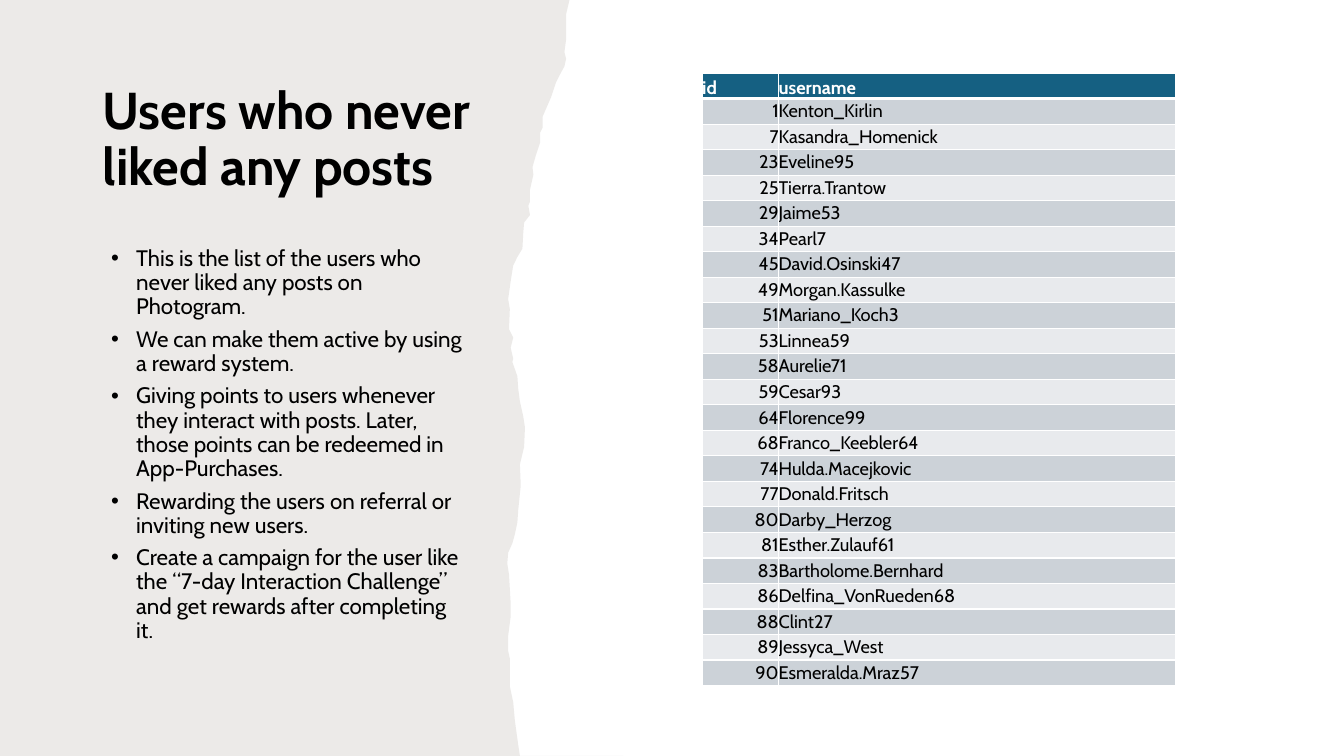
from dataclasses import dataclass

from lxml.etree import SubElement
from pptx import Presentation
from pptx.dml.color import RGBColor
from pptx.enum.text import MSO_ANCHOR, MSO_AUTO_SIZE, PP_ALIGN
from pptx.oxml.ns import qn
from pptx.util import Inches, Pt

COLUMNS, ROWS = 160, 90
UNIT = Inches(1) // 12


@dataclass(frozen=True)
class Theme:
    font: str = "Cabin"
    text: str = "000000"
    white: str = "FFFFFF"
    paper: str = "82766A"
    paper_opacity: int = 15
    header: str = "156082"
    bands: tuple = ("CCD2D8", "E8EAED")
    title_size: int = 37
    body_size: int = 16
    table_size: int = 13
    line_spacing: float = 0.9
    thin_rule: int = 1
    thick_rule: int = 3


TITLE = "Users who never liked any posts"
IDEAS = [
    "This is the list of the users who never liked any posts on Photogram.",
    "We can make them active by using a reward system.",
    "Giving points to users whenever they interact with posts. Later, "
    "those points can be redeemed in App-Purchases.",
    "Rewarding the users on referral or inviting new users.",
    "Create a campaign for the user like the “7-day Interaction Challenge” "
    "and get rewards after completing it.",
]
HEADINGS = ("id", "username")
USERS = [
    (1, "Kenton_Kirlin"), (7, "Kasandra_Homenick"), (23, "Eveline95"),
    (25, "Tierra.Trantow"), (29, "Jaime53"), (34, "Pearl7"),
    (45, "David.Osinski47"), (49, "Morgan.Kassulke"), (51, "Mariano_Koch3"),
    (53, "Linnea59"), (58, "Aurelie71"), (59, "Cesar93"),
    (64, "Florence99"), (68, "Franco_Keebler64"), (74, "Hulda.Macejkovic"),
    (77, "Donald.Fritsch"), (80, "Darby_Herzog"), (81, "Esther.Zulauf61"),
    (83, "Bartholome.Bernhard"), (86, "Delfina_VonRueden68"),
    (88, "Clint27"), (89, "Jessyca_West"), (90, "Esmeralda.Mraz57"),
]
TORN_EDGE = [
    (67.8, 0), (67.4, 1.7), (67.4, 4.7), (67.2, 6.2), (67.4, 7), (67.2, 7.9),
    (66.6, 9), (66.2, 9.8), (65.6, 11.6), (64.6, 13.9), (64.6, 15.2),
    (64.3, 15.8), (64.3, 17), (63.8, 18.5), (63.4, 19.9), (63.5, 20.8),
    (63.1, 22.6), (63.1, 24), (62.9, 24.5), (63.1, 25.6), (62.4, 26.5),
    (62.3, 27.7), (62.2, 29.6), (61.6, 30.6), (61.1, 31.6), (60.8, 33.5),
    (60.5, 35.6), (60.7, 36.8), (60.6, 39.2), (61.1, 40.2), (60.8, 41.4),
    (61.1, 42.7), (61, 43.1), (61.6, 44.8), (61.7, 46.3), (61.9, 47.8),
    (62.3, 49.6), (62.5, 50.9), (62.4, 53.2), (61.9, 55.3), (62, 57.8),
    (61.7, 60.7), (61.6, 62.2), (61.3, 63.6), (61, 64.7), (60.5, 65.8),
    (60.4, 67.1), (60.6, 68.4), (60.8, 71.8), (60.8, 73.4), (60.5, 75.7),
    (60.5, 77.5), (60.7, 78.4), (60.7, 81.7), (61.1, 83.6), (61.3, 85.8),
    (61.7, 88.7), (61.9, 90), (74.2, 90),
]


def grid(*lengths):
    """Turn lengths in grid units into slide lengths."""
    return [round(length * UNIT) for length in lengths]


class SlideBuilder:
    def __init__(self, slide, theme):
        self.slide = slide
        self.theme = theme

    def add_span(self, para, text, size, color, bold=False):
        span = para.add_run()
        span.text = text
        span.font.name = self.theme.font
        span.font.size = Pt(size)
        span.font.bold = bold
        span.font.color.rgb = RGBColor.from_string(color)

    def place(self, box, area, anchor):
        """Move a placeholder to an area of the grid and return its text frame."""
        box.left, box.top, box.width, box.height = grid(*area)
        frame = box.text_frame
        frame.word_wrap = True
        frame.auto_size = MSO_AUTO_SIZE.NONE
        frame.vertical_anchor = anchor
        return frame

    def paper(self, edge):
        """Draw the torn sheet between the left side and the edge."""
        outline = [grid(*point) for point in [*edge, (0, ROWS)]]
        builder = self.slide.shapes.build_freeform(0, 0)
        builder.add_line_segments(outline, close=True)
        sheet = builder.convert_to_shape()
        sheet.shadow.inherit = False
        sheet.line.fill.background()
        sheet.fill.solid()
        sheet.fill.fore_color.rgb = RGBColor.from_string(self.theme.paper)
        color = sheet._element.spPr.find(qn("a:solidFill")).find(qn("a:srgbClr"))
        SubElement(color, qn("a:alpha"), val=str(self.theme.paper_opacity * 1000))
        self.slide.shapes._spTree.insert(2, sheet._element)

    def title(self, text, area):
        frame = self.place(self.slide.shapes.title, area, MSO_ANCHOR.MIDDLE)
        para = frame.paragraphs[0]
        para.alignment = PP_ALIGN.LEFT
        para.line_spacing = self.theme.line_spacing
        self.add_span(para, text, self.theme.title_size, self.theme.text, bold=True)

    def bullets(self, items, area):
        frame = self.place(self.slide.placeholders[1], area, MSO_ANCHOR.TOP)
        for index, item in enumerate(items):
            para = frame.add_paragraph() if index else frame.paragraphs[0]
            para.line_spacing = self.theme.line_spacing
            para.space_before = Pt(0)
            para.space_after = Pt(6)
            self.add_span(para, item, self.theme.body_size, self.theme.text)
            properties = para._p.get_or_add_pPr()
            properties.set("marL", str(Inches(0.31)))
            properties.set("indent", str(Inches(-0.25)))
            SubElement(properties, qn("a:buFont"), typeface="Arial")
            SubElement(properties, qn("a:buChar"), char="•")

    def rule(self, cell, side, width):
        line = SubElement(cell._tc.get_or_add_tcPr(), qn("a:ln" + side), w=str(Pt(width)))
        fill = SubElement(line, qn("a:solidFill"))
        SubElement(fill, qn("a:srgbClr"), val=self.theme.white)

    def cell(self, cell, text, fill, color, header=False, align=PP_ALIGN.LEFT):
        theme = self.theme
        cell.margin_left = cell.margin_right = cell.margin_top = cell.margin_bottom = 0
        cell.vertical_anchor = MSO_ANCHOR.BOTTOM if header else MSO_ANCHOR.MIDDLE
        for side in "LRTB":
            thick = header and side == "B"
            self.rule(cell, side, theme.thick_rule if thick else theme.thin_rule)
        cell.fill.solid()
        cell.fill.fore_color.rgb = RGBColor.from_string(fill)
        para = cell.text_frame.paragraphs[0]
        para.alignment = align
        self.add_span(para, text, theme.table_size, color, bold=header)

    def table(self, headings, records, area, widths):
        theme = self.theme
        count = len(records) + 1
        table = self.slide.shapes.add_table(count, len(headings), *grid(*area)).table
        for column, width in zip(table.columns, grid(*widths)):
            column.width = width
        for row in table.rows:
            row.height = grid(area[3] / count)[0]
        for column, heading in enumerate(headings):
            self.cell(table.cell(0, column), heading, theme.header, theme.white, header=True)
        for row, record in enumerate(records, 1):
            band = theme.bands[(row - 1) % 2]
            for column, value in enumerate(record):
                align = PP_ALIGN.RIGHT if isinstance(value, int) else PP_ALIGN.LEFT
                self.cell(table.cell(row, column), str(value), band, theme.text, align=align)


def main():
    deck = Presentation()
    deck.slide_width, deck.slide_height = grid(COLUMNS, ROWS)
    page = SlideBuilder(deck.slides.add_slide(deck.slide_layouts[1]), Theme())
    page.paper(TORN_EDGE)
    page.title(TITLE, (11, 8, 49.1, 17.5))
    page.bullets(IDEAS, (11.3, 28.8, 45, 51.2))
    page.table(HEADINGS, USERS, (83.6, 8.7, 56.3, 73), (9.1, 47.2))
    deck.save("out.pptx")


if __name__ == "__main__":
    main()
